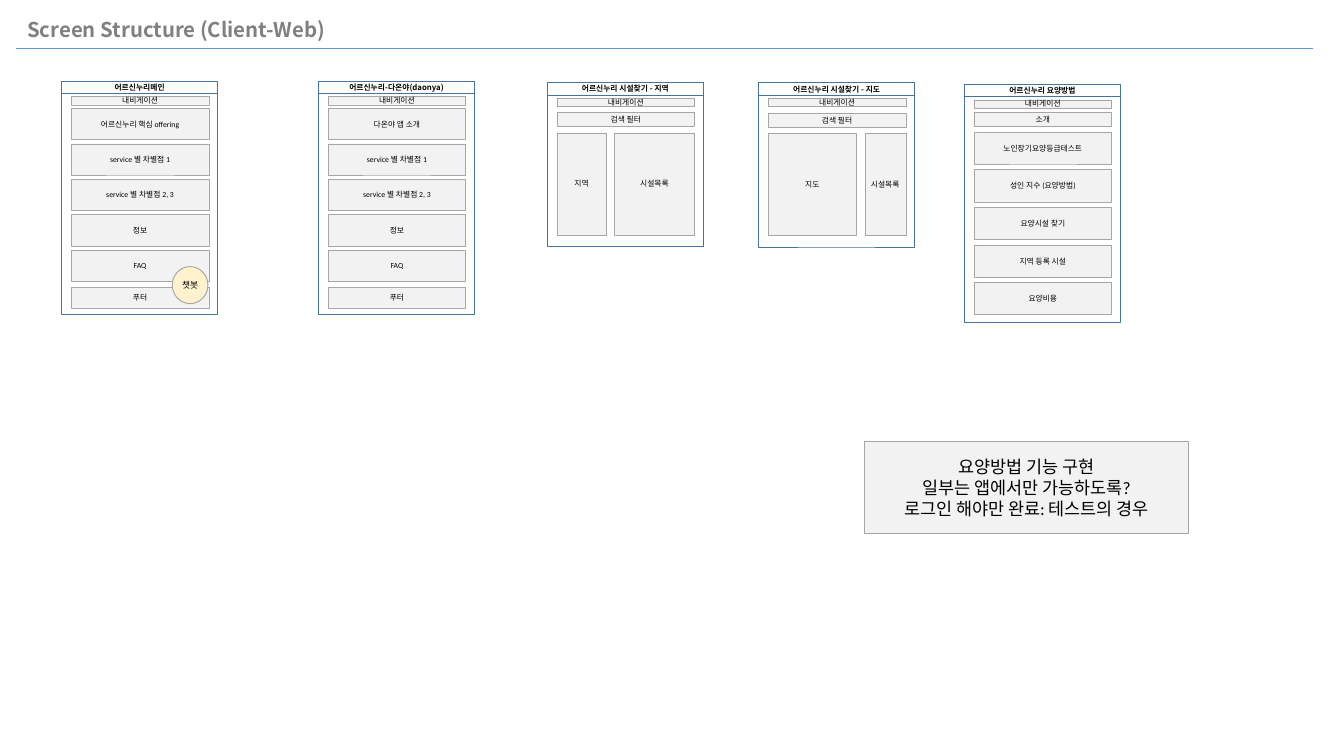
from pptx import Presentation
from pptx.dml.color import RGBColor
from pptx.enum.shapes import MSO_CONNECTOR as Connector, MSO_SHAPE as Shape
from pptx.enum.text import MSO_ANCHOR as Anchor, PP_ALIGN as Align
from pptx.oxml.ns import qn
from pptx.util import Cm, Pt
from lxml import etree

COLORS = {"heading": "808080", "rule": "5B9BD5", "frame": "43739E", "box": "F2F2F2",
          "edge": "A6A6A6", "bot": "FFF2CC", "text": "000000"}
BOLD_FONT, BODY_FONT = "Noto Sans CJK KR", "Calibri"

HEADING = "Screen Structure (Client-Web)"
NAVIGATION = "내비게이션"
SHARED_SECTIONS = ["service 별 차별점 1", "service 별 차별점 2, 3", "정보", "FAQ"]
FOOTER = "푸터"
# title, left, top, sections
LANDING_SCREENS = [
    ("어르신누리메인", 2.24, 2.95, ["어르신누리 핵심 offering"] + SHARED_SECTIONS),
    ("어르신누리-다온야(daonya)", 11.59, 2.95, ["다온야 앱 소개"] + SHARED_SECTIONS),
]
# title, left, top, left column and its width, right column
SEARCH_FILTER = "검색 필터"
SEARCH_SCREENS = [
    ("어르신누리 시설찾기 - 지역", 19.92, 3.0, "지역", 1.78, "시설목록"),
    ("어르신누리 시설찾기 - 지도", 27.61, 3.02, "지도", 3.2, "시설목록"),
]
CARE_SCREEN = ("어르신누리 요양방법", 35.1, 3.07)
CARE_INTRO = "소개"
CARE_SECTIONS = ["노인장기요양등급테스트", "성인 지수 (요양방법)", "요양시설 찾기",
                 "지역 등록 시설", "요양비용"]
CHATBOT = "챗봇"
NOTE = ["요양방법 기능 구현", "일부는 앱에서만 가능하도록?", "로그인 해야만 완료: 테스트의 경우"]

FRAME_WIDTH, TITLE_HEIGHT = 5.69, 0.46
INSET, BOX_WIDTH = 0.36, 5.0
COLUMN_GAP = 0.31

deck = Presentation()
deck.slide_width, deck.slide_height = Cm(48.92), Cm(27.51)
page = deck.slides.add_slide(deck.slide_layouts[6])


def color(name):
    return RGBColor.from_string(COLORS[name])


def write(para, text, size, font=BODY_FONT, bold=False, ink="text"):
    span = para.add_run()
    span.text = text
    span.font.size, span.font.name, span.font.bold = Pt(size), font, bold
    span.font.color.rgb = color(ink)
    if font == BOLD_FONT:
        east_asian = etree.SubElement(span.font._element, qn("a:ea"))
        east_asian.set("typeface", font)


def add_box(left, top, width, height, lines=(), size=8, fill="box", edge="edge",
            weight=0.25, kind=Shape.RECTANGLE, font=BODY_FONT, bold=False):
    box = page.shapes.add_shape(kind, Cm(left), Cm(top), Cm(width), Cm(height))
    box.shadow.inherit = False
    if fill:
        box.fill.solid()
        box.fill.fore_color.rgb = color(fill)
    else:
        box.fill.background()
    box.line.color.rgb = color(edge)
    box.line.width = Pt(weight)
    frame = box.text_frame
    frame.word_wrap = True
    frame.vertical_anchor = Anchor.MIDDLE
    frame.margin_left = frame.margin_right = frame.margin_top = frame.margin_bottom = 0
    for index, line in enumerate(lines):
        para = frame.add_paragraph() if index else frame.paragraphs[0]
        para.alignment = Align.CENTER
        write(para, line, size, font, bold)


def add_screen(title, left, top, body_height):
    """Draw a titled frame with its navigation bar; return a function that adds rows to it."""
    outline = {"fill": None, "edge": "frame", "weight": 1}
    add_box(left, top + TITLE_HEIGHT, FRAME_WIDTH, body_height, **outline)
    add_box(left, top, FRAME_WIDTH, TITLE_HEIGHT, [title], font=BOLD_FONT, bold=True, **outline)

    def add_row(text, offset, height, shift=0, width=BOX_WIDTH):
        add_box(left + INSET + shift, top + offset, width, height, [text])

    add_row(NAVIGATION, 0.56, 0.3)
    return add_row


rule = page.shapes.add_connector(Connector.STRAIGHT, Cm(0.58), Cm(1.75), Cm(47.8), Cm(1.75))
rule.line.color.rgb = color("rule")
rule.line.width = Pt(0.5)
etree.SubElement(rule._element.spPr, qn("a:effectLst"))

heading = page.shapes.add_textbox(Cm(0.74), Cm(0.51), Cm(12.32), Cm(1.14))
heading.text_frame.word_wrap = False
write(heading.text_frame.paragraphs[0], HEADING, 21, BOLD_FONT, True, "heading")

for title, left, top, sections in LANDING_SCREENS:
    add_row = add_screen(title, left, top, 8.05)
    for index, section in enumerate(sections):
        add_row(section, 0.99 + 1.29 * index, 1.14)
    add_row(FOOTER, 7.49, 0.76)

for title, left, top, first, first_width, second in SEARCH_SCREENS:
    add_row = add_screen(title, left, top, 5.51)
    add_row(SEARCH_FILTER, 1.09, 0.51)
    add_row(first, 1.83, 3.71, width=first_width)
    shift = first_width + COLUMN_GAP
    add_row(second, 1.83, 3.71, shift, BOX_WIDTH - shift)

add_row = add_screen(*CARE_SCREEN, 8.2)
add_row(CARE_INTRO, 1.02, 0.51)
for index, section in enumerate(CARE_SECTIONS):
    add_row(section, 1.73 + 1.37 * index, 1.17)

add_box(6.27, 9.7, 1.3, 1.35, [CHATBOT], size=9, fill="bot", weight=1, kind=Shape.OVAL)
add_box(31.47, 16.08, 11.79, 3.35, NOTE, size=18, weight=1)

deck.save("out.pptx")
